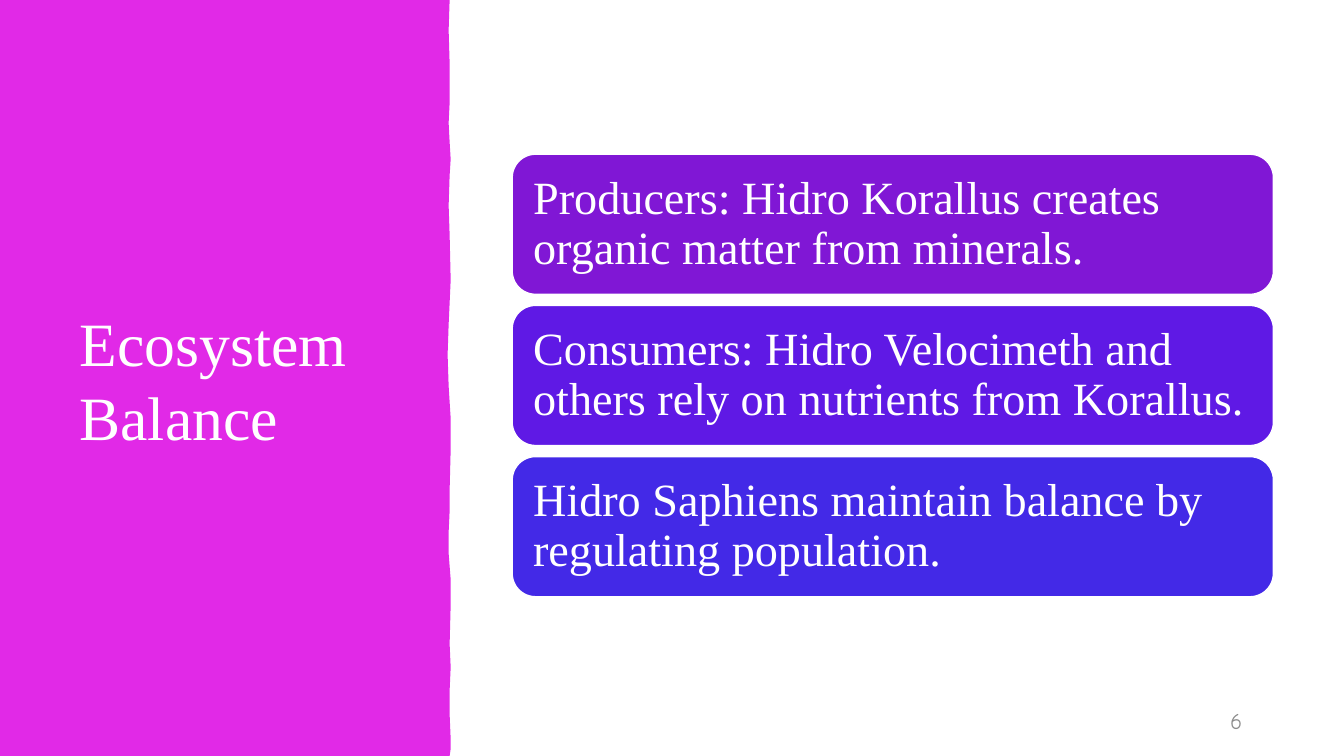
from dataclasses import dataclass

from pptx import Presentation
from pptx.dml.color import RGBColor
from pptx.enum.shapes import MSO_SHAPE as SHAPE
from pptx.enum.text import MSO_ANCHOR as ANCHOR, PP_ALIGN as ALIGN
from pptx.util import Inches, Pt


@dataclass(frozen=True)
class Theme:
    """Colours, fonts and type sizes of the slide."""
    white: str = "FFFFFF"
    panel: str = "E129E7"
    cards: tuple = ("8017D5", "5F19E5", "4329E7")
    number: str = "8C8C8C"
    serif: str = "Times New Roman"
    casual: str = "Comic Neue"
    title_size: int = 44
    card_size: int = 33
    number_size: int = 16


THEME = Theme()
EDGE = [(4.46, 0), (4.45, 0.3), (4.46, 0.63), (4.46, 1.02), (4.45, 1.22),
        (4.46, 1.41), (4.47, 1.58), (4.46, 1.74), (4.45, 2.04), (4.46, 2.33),
        (4.47, 2.78), (4.45, 3.22), (4.44, 3.52), (4.45, 3.83), (4.47, 4.15),
        (4.47, 4.46), (4.46, 4.86), (4.46, 5.07), (4.45, 5.28), (4.45, 5.49),
        (4.47, 5.75), (4.47, 6), (4.46, 6.39), (4.47, 6.62), (4.46, 6.85),
        (4.46, 7.09), (4.47, 7.33), (4.47, 7.43), (4.46, 7.5)]
CARDS = ["Producers: Hidro Korallus creates organic matter from minerals.",
         "Consumers: Hidro Velocimeth and others rely on nutrients from Korallus.",
         "Hidro Saphiens maintain balance by regulating population."]


def set_fill(sp, color):
    """Give a shape a solid fill and no shadow."""
    sp.shadow.inherit = False
    sp.fill.solid()
    sp.fill.fore_color.rgb = RGBColor.from_string(color)


def write(sp, text, size, color, font, align=ALIGN.LEFT, spacing=1.0):
    """Write one middle-anchored paragraph into a shape."""
    tf = sp.text_frame
    tf.word_wrap = True
    tf.vertical_anchor = ANCHOR.MIDDLE
    p = tf.paragraphs[0]
    p.alignment = align
    p.line_spacing = spacing
    r = p.add_run()
    r.text = text
    r.font.size = Pt(size)
    r.font.name = font
    r.font.color.rgb = RGBColor.from_string(color)


def add_title_panel(slide, left, top, height):
    """Draw the wavy-edged panel and set the title on it."""
    points = [(Inches(left + x), Inches(top + y)) for x, y in EDGE]
    builder = slide.shapes.build_freeform(Inches(left), Inches(top))
    builder.add_line_segments(points + [(Inches(left), Inches(top + height))])
    panel = builder.convert_to_shape()
    set_fill(panel, THEME.panel)
    panel.line.fill.background()

    title = slide.shapes.title
    title.left, title.top = Inches(left + 0.69), Inches(top + 0.7)
    title.width, title.height = Inches(3.39), Inches(height - 1.39)
    write(title, "Ecosystem Balance", THEME.title_size, THEME.white, THEME.serif)
    tree = slide.shapes._spTree
    tree.remove(title._element)
    tree.append(title._element)


def add_cards(slide, left, top, width, height, pitch):
    """Stack the rounded cards at an equal pitch."""
    for i, (text, color) in enumerate(zip(CARDS, THEME.cards)):
        card = slide.shapes.add_shape(SHAPE.ROUNDED_RECTANGLE, Inches(left),
                                      Inches(top + i * pitch), Inches(width), Inches(height))
        set_fill(card, color)
        card.line.color.rgb = RGBColor.from_string(THEME.white)
        card.line.width = Pt(1)
        tf = card.text_frame
        tf.margin_left = tf.margin_right = Inches(0.14)
        tf.margin_top = tf.margin_bottom = Inches(0.14)
        write(card, text, THEME.card_size, THEME.white, THEME.serif, spacing=0.9)


def add_slide_number(slide, left, top, width, height):
    """Place the slide number at the right of its box."""
    box = slide.shapes.add_textbox(Inches(left), Inches(top), Inches(width), Inches(height))
    write(box, "6", THEME.number_size, THEME.number, THEME.casual, ALIGN.RIGHT)


def main():
    """Build the slide and save it."""
    prs = Presentation()
    prs.slide_width, prs.slide_height = Inches(13.33), Inches(7.5)
    slide = prs.slides.add_slide(prs.slide_layouts[5])
    add_title_panel(slide, 0, 0, 7.5)
    add_cards(slide, 5.08, 1.53, 7.55, 1.39, 1.5)
    add_slide_number(slide, 9.42, 6.95, 3, 0.4)
    prs.save("out.pptx")


if __name__ == "__main__":
    main()
